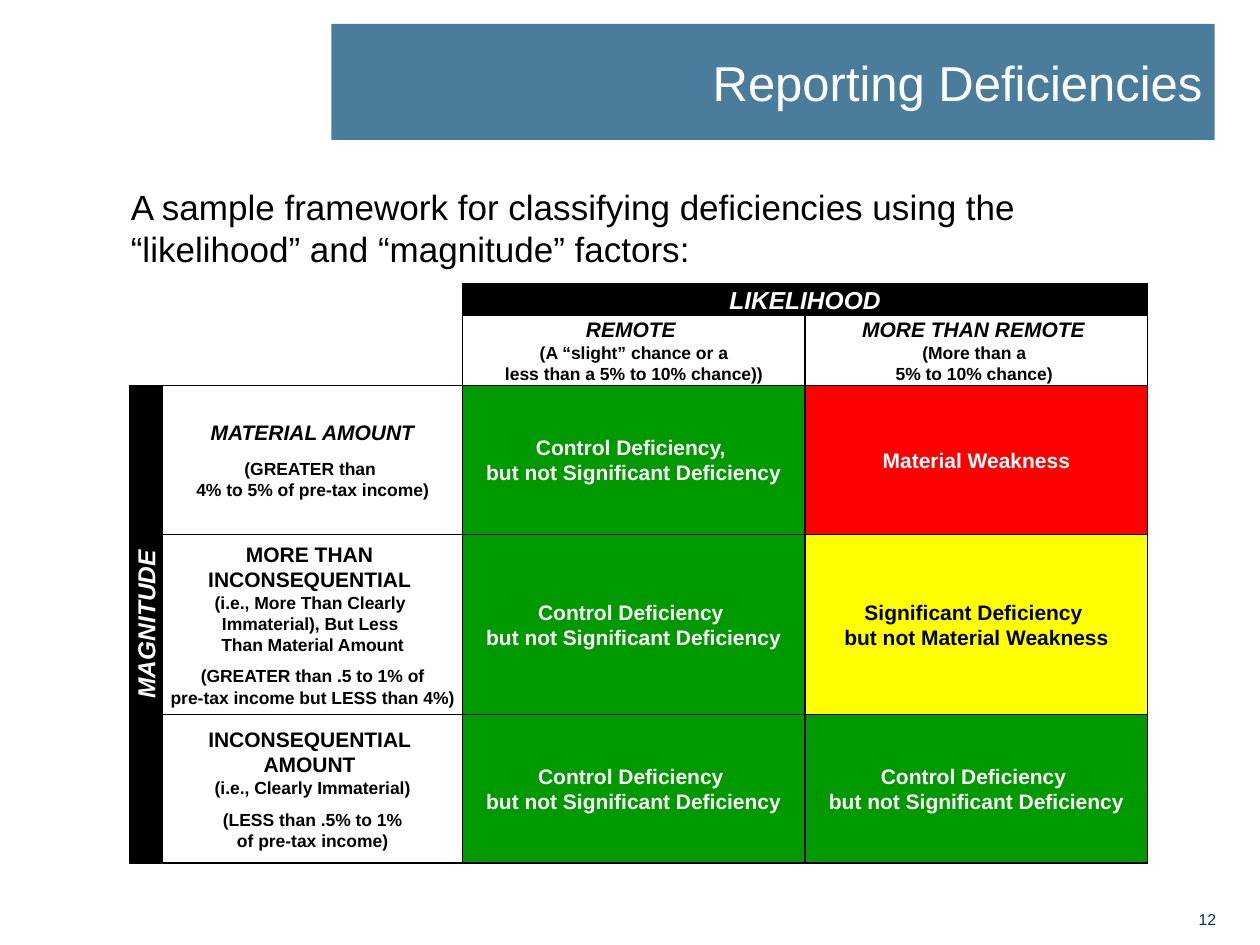
import dataclasses

import pptx
import pptx.dml.color
import pptx.enum.shapes
import pptx.enum.text
import pptx.util

Inches = pptx.util.Inches
Pt = pptx.util.Pt
ALIGN = pptx.enum.text.PP_ALIGN
ANCHOR = pptx.enum.text.MSO_ANCHOR


@dataclasses.dataclass(frozen=True)
class Theme:
    font: str = "Arial"
    black: str = "000000"
    white: str = "FFFFFF"
    banner: str = "4A7D9C"
    navy: str = "003366"
    green: str = "009900"
    red: str = "FF0000"
    yellow: str = "FFFF00"
    title: float = 28
    intro: float = 20
    axis: float = 14
    label: float = 12
    detail: float = 10
    number: float = 9
    border: float = 0.75


def rgb(color):
    return pptx.dml.color.RGBColor.from_string(color)


def write(tf, text, font="Arial", size=12, color="000000", bold=False,
          italic=False, align=ALIGN.LEFT, after=0):
    p = tf.paragraphs[0]
    if p.runs:
        p = tf.add_paragraph()
    p.alignment = align
    p.space_after = Pt(after)
    r = p.add_run()
    r.text = text
    r.font.name = font
    r.font.size = Pt(size)
    r.font.color.rgb = rgb(color)
    r.font.bold = bold
    r.font.italic = italic


class SlideBuilder:
    def __init__(self, slide, theme):
        self.slide = slide
        self.theme = theme

    def text(self, x, y, w, h, text, **style):
        sp = self.slide.shapes.add_textbox(Inches(x), Inches(y), Inches(w), Inches(h))
        sp.text_frame.word_wrap = True
        write(sp.text_frame, text, font=self.theme.font, **style)

    def box(self, x, y, w, h, fill=None, border=True):
        sp = self.slide.shapes.add_shape(
            pptx.enum.shapes.MSO_SHAPE.RECTANGLE, Inches(x), Inches(y), Inches(w), Inches(h))
        sp.shadow.inherit = False
        if fill:
            sp.fill.solid()
            sp.fill.fore_color.rgb = rgb(fill)
        else:
            sp.fill.background()
        if border:
            sp.line.color.rgb = rgb(self.theme.black)
            sp.line.width = Pt(self.theme.border)
        else:
            sp.line.fill.background()
        return sp

    def banner(self, x, y, w, h, text):
        sp = self.box(x, y, w, h, self.theme.banner, border=False)
        tf = sp.text_frame
        tf.word_wrap = True
        tf.vertical_anchor = ANCHOR.MIDDLE
        write(tf, text, font=self.theme.font, size=self.theme.title,
              color=self.theme.white, align=ALIGN.RIGHT)

    def cell(self, x, y, w, h, lines, fill=None, color="000000"):
        sp = self.box(x, y, w, h, fill)
        tf = sp.text_frame
        tf.word_wrap = False
        tf.vertical_anchor = ANCHOR.MIDDLE
        for text, style in lines:
            write(tf, text, font=self.theme.font, color=color, bold=True,
                  align=ALIGN.CENTER, **style)
        return sp

    def axis(self, x, y, w, h, text, rotation=0):
        style = dict(size=self.theme.axis, italic=True)
        sp = self.cell(x, y, w, h, [(text, style)], self.theme.black, self.theme.white)
        sp.rotation = rotation


def main():
    theme = Theme()
    prs = pptx.Presentation()
    prs.slide_width = Inches(10)
    prs.slide_height = Inches(7.5)
    s = SlideBuilder(prs.slides.add_slide(prs.slide_layouts[6]), theme)

    label = dict(size=theme.label)
    label_italic = dict(label, italic=True)
    detail = dict(size=theme.detail)
    detail_end = dict(detail, after=6.2)

    s.text(6.72, 7.17, 3.03, 0.25, "12", size=theme.number, color=theme.navy, align=ALIGN.RIGHT)
    s.banner(2.63, 0.19, 7.01, 0.92, "Reporting Deficiencies")
    s.text(0.94, 1.42, 8.56, 4.51,
           "A sample framework for classifying deficiencies using the "
           "“likelihood” and “magnitude” factors:", size=theme.intro, after=10)

    left, top = 1.29, 3.06
    label_w, cell_w = 2.38, 2.72
    axis_h, header_h = 0.25, 0.56
    grid_x = left + label_w
    grid_w = 2 * cell_w
    heights = [1.18, 1.43, 1.18]
    grid_h = sum(heights)
    s.box(left, top, label_w + grid_w, grid_h, theme.white)

    headers = [
        [("REMOTE ", label_italic), ("(A “slight” chance or a", detail),
         ("less than a 5% to 10% chance))", detail)],
        [("MORE THAN REMOTE ", label_italic), ("(More than a ", detail),
         ("5% to 10% chance) ", detail)],
    ]
    for col, lines in enumerate(headers):
        s.cell(grid_x + col * cell_w, top - header_h, cell_w, header_h, lines, theme.white)
    s.axis(grid_x, top - header_h - axis_h, grid_w, axis_h, "LIKELIHOOD")
    s.axis(left - (grid_h + axis_h) / 2 - 0.01, top + (grid_h - axis_h) / 2,
           grid_h, axis_h, "MAGNITUDE", rotation=270)

    control = ("Control Deficiency ", "but not Significant Deficiency")
    control_cell = (control, theme.green, theme.white)
    rows = [
        ([("MATERIAL AMOUNT", dict(label_italic, after=7.5)),
          ("(GREATER than ", detail),
          ("4% to 5% of pre-tax income)", detail)],
         [(("Control Deficiency, ", control[1]), theme.green, theme.white),
          (("Material Weakness",), theme.red, theme.white)]),
        ([("MORE THAN ", label), ("INCONSEQUENTIAL ", label),
          ("(i.e., More Than Clearly ", detail),
          ("Immaterial), But Less ", detail),
          ("Than Material Amount", detail_end),
          (" (GREATER than .5 to 1% of ", detail),
          ("pre-tax income but LESS than 4%)", detail)],
         [control_cell,
          (("Significant Deficiency ", "but not Material Weakness"),
           theme.yellow, theme.black)]),
        ([("INCONSEQUENTIAL ", label), ("AMOUNT ", label),
          ("(i.e., Clearly Immaterial)", detail_end),
          (" (LESS than .5% to 1% ", detail),
          ("of pre-tax income)", detail)],
         [control_cell, control_cell]),
    ]
    y = top
    for height, (magnitude, outcomes) in zip(heights, rows):
        s.cell(left, y, label_w, height, magnitude)
        for col, (texts, fill, color) in enumerate(outcomes):
            s.cell(grid_x + col * cell_w, y, cell_w, height,
                   [(text, label) for text in texts], fill, color)
        y += height

    prs.save("out.pptx")


if __name__ == "__main__":
    main()
